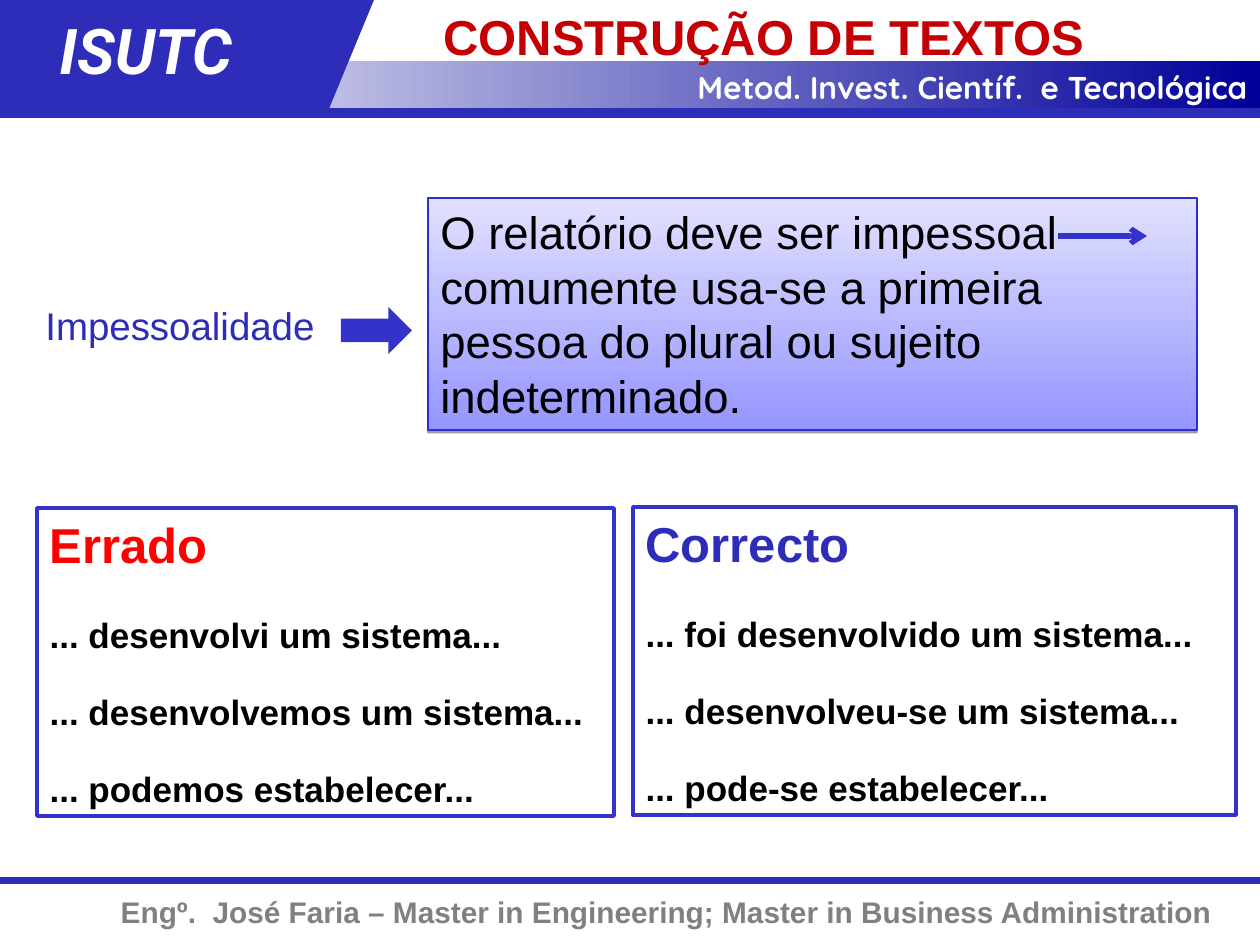
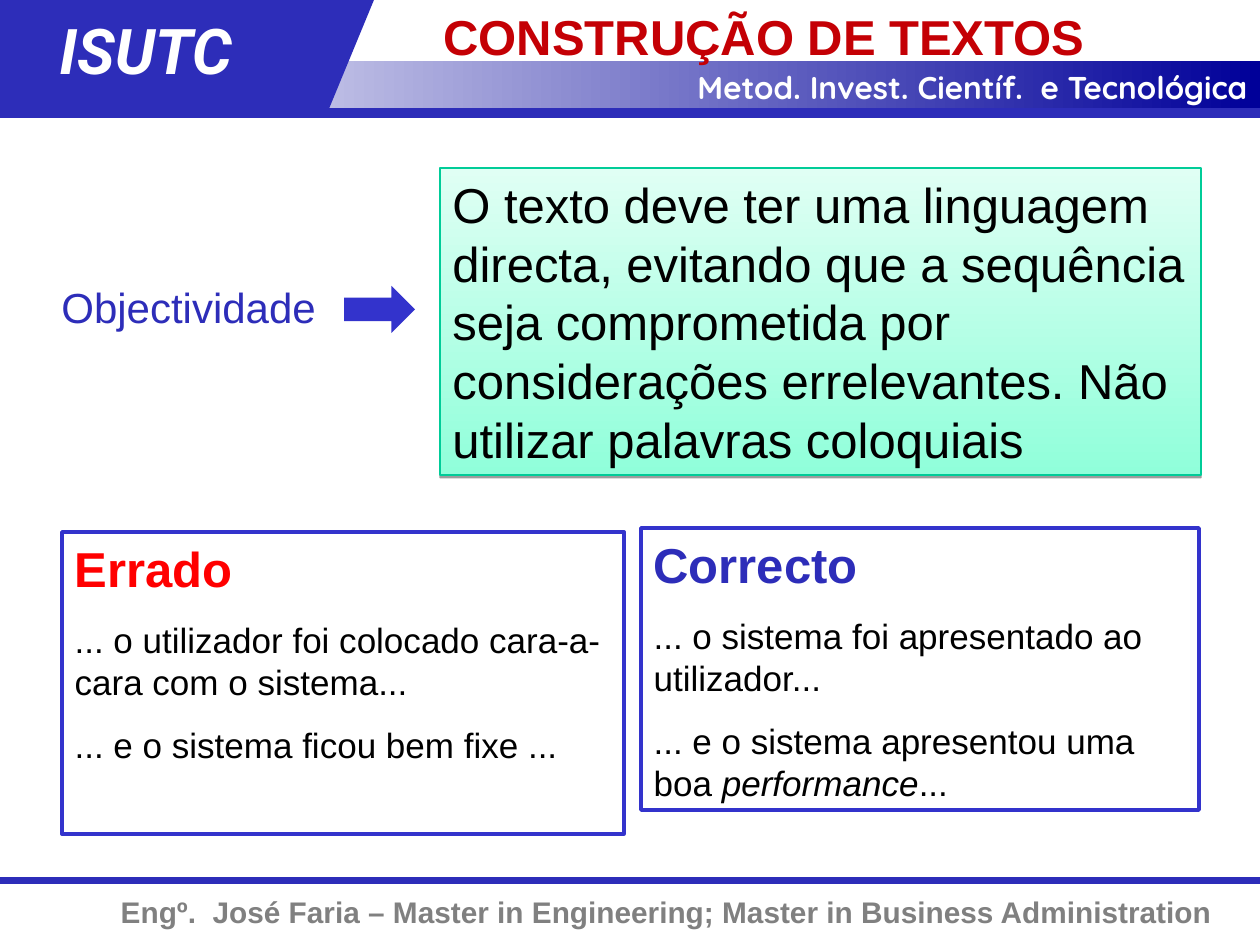
from dataclasses import dataclass

from lxml.etree import SubElement
from pptx import Presentation
from pptx.dml.color import RGBColor
from pptx.enum.shapes import MSO_CONNECTOR, MSO_SHAPE
from pptx.enum.text import MSO_ANCHOR, MSO_AUTO_SIZE, PP_ALIGN
from pptx.oxml.ns import qn
from pptx.util import Emu, Pt

EMU_PER_PX = 914400 / 126


@dataclass(frozen=True)
class Theme:
    blue: str = "2D2DB9"
    border: str = "3333CC"
    navy: str = "000099"
    white: str = "FFFFFF"
    black: str = "000000"
    red: str = "FF0000"
    title_red: str = "C40005"
    grey: str = "808080"
    violet: tuple = ("E1E1FF", "9595FF", "2E2ECB")
    mint: tuple = ("E0FFF4", "90FFDA", "00CC98")
    text_font: str = "Arial"
    course_font: str = "Quicksand"
    school_font: str = "Roboto"
    heading_size: int = 28
    school_size: int = 36
    course_size: int = 18
    author_size: int = 17
    item_size: int = 20


THEME = Theme()

TOPICS = [
    {
        "label": ("Impessoalidade", 22, (33, 296, 319, 59)),
        "arrow": (341, 307, 71, 47),
        "rule": ("O relatório deve ser impessoal comumente usa-se a primeira "
                 "pessoa do plural ou sujeito indeterminado.",
                 26, THEME.violet, (428, 198, 769, 232)),
        "wrong": (["... desenvolvi um sistema...",
                   "... desenvolvemos um sistema...",
                   "... podemos estabelecer..."], (37, 508, 577, 308)),
        "right": (["... foi desenvolvido um sistema...",
                   "... desenvolveu-se um sistema...",
                   "... pode-se estabelecer..."], (633, 507, 603, 308)),
        "bold": True,
        "heading_after": 10.5,
        "item_gaps": (12.5, 7.5),
        "pointer": (1058, 236, 1147, 236),
    },
    {
        "label": ("Objectividade", 24, (49, 275, 291, 63)),
        "arrow": (344, 286, 71, 47),
        "rule": ("O texto deve ter uma linguagem directa, evitando que a "
                 "sequência seja comprometida por considerações errelevantes. "
                 "Não utilizar palavras coloquiais",
                 28, THEME.mint, (440, 168, 761, 307)),
        "wrong": (["... o utilizador foi colocado cara-a-cara com o sistema...",
                   "... e o sistema ficou bem fixe ..."], (62, 532, 562, 302)),
        "right": (["... o sistema foi apresentado ao utilizador...",
                   "... e o sistema apresentou uma boa *performance*..."],
                  (641, 528, 558, 282)),
        "bold": False,
        "heading_after": 6,
        "item_gaps": (6, 6),
        "pointer": None,
    },
]


def px(length):
    return Emu(round(length * EMU_PER_PX))


def assign(target, values):
    for name, value in values.items():
        setattr(target, name, value)


def place(part, box):
    assign(part, dict(zip(("left", "top", "width", "height"), map(px, box))))


def paint(part, color):
    part.fill.solid()
    part.fill.fore_color.rgb = RGBColor.from_string(color)


def blend(part, colors, angle):
    part.fill.gradient()
    part.fill.gradient_angle = angle
    for stop, color in zip(part.fill.gradient_stops, colors):
        stop.color.rgb = RGBColor.from_string(color)


def outline(part, color, width):
    part.line.color.rgb = RGBColor.from_string(color)
    part.line.width = Pt(width)


def write(paragraph, text, size, color, font=THEME.text_font, bold=False,
          italic=False, **spacing):
    assign(paragraph, {"alignment": PP_ALIGN.LEFT, **spacing})
    for index, piece in enumerate(text.split("*")):
        run = paragraph.add_run()
        run.text = piece
        assign(run.font, {"name": font, "size": Pt(size), "bold": bold,
                          "italic": italic or index % 2 == 1})
        run.font.color.rgb = RGBColor.from_string(color)


def prepare_frame(part):
    assign(part.text_frame, {"word_wrap": True,
                             "auto_size": MSO_AUTO_SIZE.NONE,
                             "vertical_anchor": MSO_ANCHOR.TOP})
    return part.text_frame


def add_block(slide, preset, box):
    block = slide.shapes.add_shape(preset, *map(px, box))
    block.shadow.inherit = False
    block.line.fill.background()
    return block


def add_caption(slide, box, text, size, color, **style):
    caption = slide.shapes.add_textbox(*map(px, box))
    write(prepare_frame(caption).paragraphs[0], text, size, color, **style)


def add_rule_line(slide, ends, color, width):
    rule_line = slide.shapes.add_connector(MSO_CONNECTOR.STRAIGHT, *map(px, ends))
    outline(rule_line, color, width)
    SubElement(rule_line._element.spPr, qn("a:effectLst"))
    return rule_line


def add_footer(slide, box):
    left, top, width, height = box
    add_rule_line(slide, (left, top, left + width, top), THEME.blue, 4)
    add_caption(slide, (left, top + 7, width - 35, height - 7),
                "Engº.  José Faria – Master in Engineering; "
                "Master in Business Administration",
                THEME.author_size, THEME.grey, bold=True,
                alignment=PP_ALIGN.RIGHT)


def add_header(slide, box):
    left, top, width, height = box
    band = add_block(slide, MSO_SHAPE.RECTANGLE, (left, top + 61, width, 48))
    blend(band, (THEME.white, THEME.navy), 0)
    for preset, offset, span in ((MSO_SHAPE.FLOWCHART_DATA, 147, 227),
                                 (MSO_SHAPE.RECTANGLE, 0, 200)):
        paint(add_block(slide, preset, (left + offset, top, span, 110)),
              THEME.blue)
    add_caption(slide, (left + 549, top + 62, width - 549, 50),
                "Metod. Invest. Científ.  e Tecnológica", THEME.course_size,
                THEME.white, font=THEME.course_font, bold=True,
                alignment=PP_ALIGN.RIGHT)
    add_caption(slide, (left + 47, top + 5, 243, 88), "ISUTC",
                THEME.school_size, THEME.white, font=THEME.school_font,
                bold=True, italic=True)
    add_rule_line(slide, (left, top + height, left + width, top + height),
                  THEME.blue, 6)


def move_frame_to_layout(slide, layout):
    tree = layout.shapes._spTree
    for part in list(slide.shapes):
        if not part.is_placeholder:
            tree.append(part._element)
    for number, properties in enumerate(tree.iter(qn("p:cNvPr")), 1):
        properties.set("id", str(number))


def add_title(slide, box):
    title = slide.shapes.title
    place(title, box)
    write(prepare_frame(title).paragraphs[0], "CONSTRUÇÃO DE TEXTOS",
          THEME.heading_size, THEME.title_red, bold=True, space_before=Pt(0))


def add_rule(slide, text, size, colors, box):
    light, dark, edge = colors
    rule = add_block(slide, MSO_SHAPE.RECTANGLE, box)
    blend(rule, (light, dark), 270)
    outline(rule, edge, 0.75)
    effects = rule._element.spPr.find(qn("a:effectLst"))
    cast = SubElement(effects, qn("a:outerShdw"), blurRad="0",
                      dist=str(Pt(1.6)), dir="5400000", rotWithShape="0")
    tone = SubElement(cast, qn("a:srgbClr"), val=THEME.black)
    SubElement(tone, qn("a:alpha"), val="38000")
    write(prepare_frame(rule).paragraphs[0], text, size, THEME.black)


def add_examples(panel, heading, color, topic, items, box):
    place(panel, box)
    paint(panel, THEME.white)
    outline(panel, THEME.border, 2)
    frame = prepare_frame(panel)
    before, after = map(Pt, topic["item_gaps"])
    write(frame.paragraphs[0], heading, THEME.heading_size, color, bold=True,
          space_before=Pt(0), space_after=Pt(topic["heading_after"]))
    for item in items:
        write(frame.add_paragraph(), item, THEME.item_size, THEME.black,
              bold=topic["bold"], space_before=before, space_after=after)
    for paragraph in frame.paragraphs:
        properties = paragraph._p.get_or_add_pPr()
        properties.set("marL", "0")
        properties.set("indent", "0")
        SubElement(properties, qn("a:buNone"))


def add_pointer(slide, ends):
    pointer = add_rule_line(slide, ends, THEME.border, 3)
    SubElement(pointer.line._get_or_add_ln(), qn("a:tailEnd"), type="arrow")


def fill_topic(slide, topic):
    add_title(slide, (431, 0, 829, 60))
    wrong, right = list(slide.placeholders)[1:3]
    add_examples(wrong, "Errado", THEME.red, topic, *topic["wrong"])
    add_examples(right, "Correcto", THEME.blue, topic, *topic["right"])
    add_rule(slide, *topic["rule"])
    text, size, box = topic["label"]
    add_caption(slide, box, text, size, THEME.blue)
    paint(add_block(slide, MSO_SHAPE.RIGHT_ARROW, topic["arrow"]), THEME.border)
    if topic["pointer"]:
        add_pointer(slide, topic["pointer"])


def main():
    deck = Presentation()
    assign(deck, {"slide_width": px(1260), "slide_height": px(945)})
    layout = deck.slide_layouts.get_by_name("Two Content")
    slides = [deck.slides.add_slide(layout) for _ in TOPICS]
    add_footer(slides[0], (0, 881, 1260, 56))
    add_header(slides[0], (0, 0, 1260, 113))
    move_frame_to_layout(slides[0], layout)
    for slide, topic in zip(slides, TOPICS):
        fill_topic(slide, topic)
    deck.save("out.pptx")


if __name__ == "__main__":
    main()
